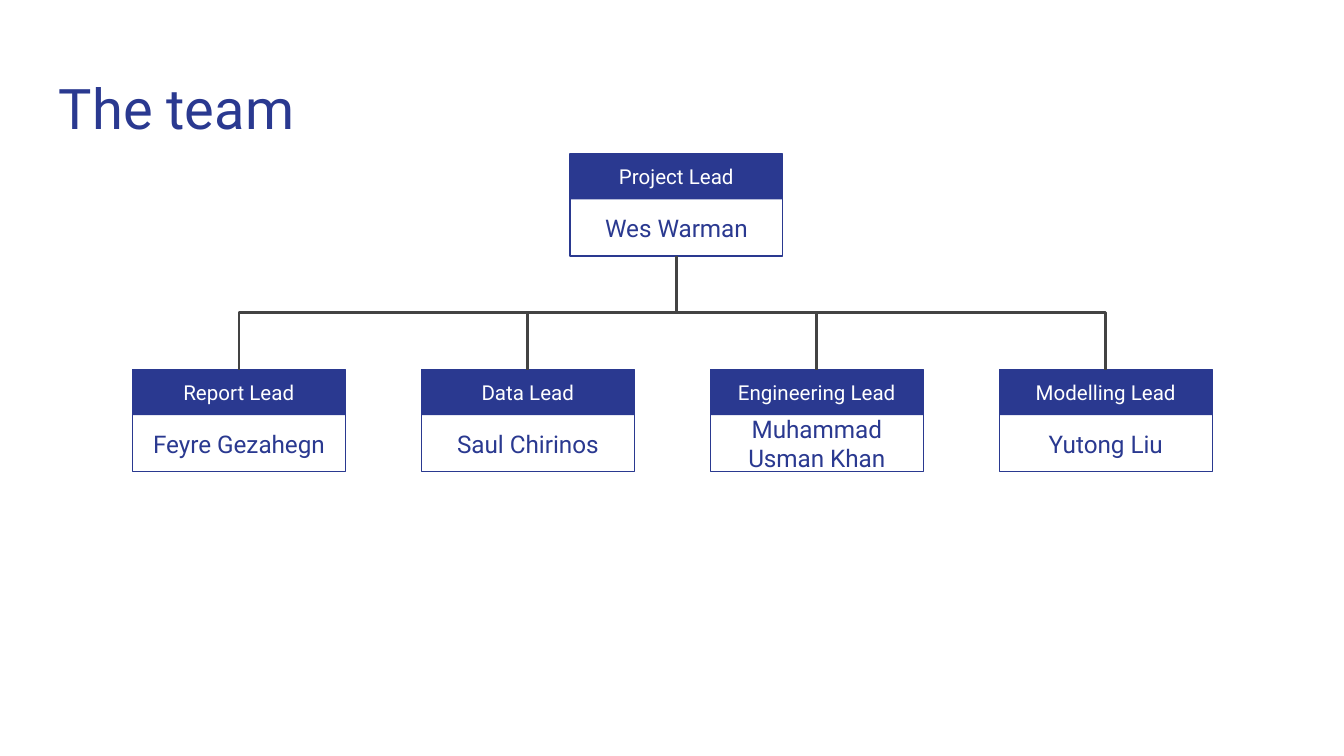
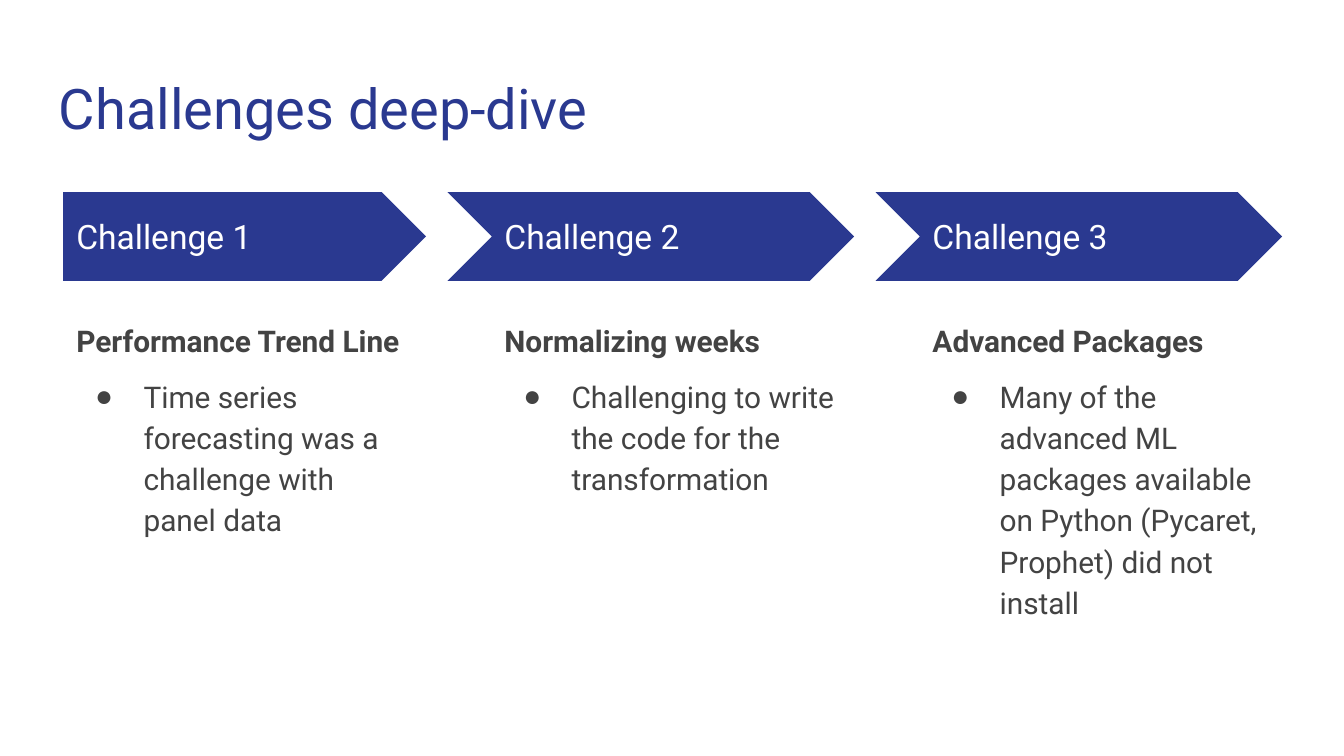
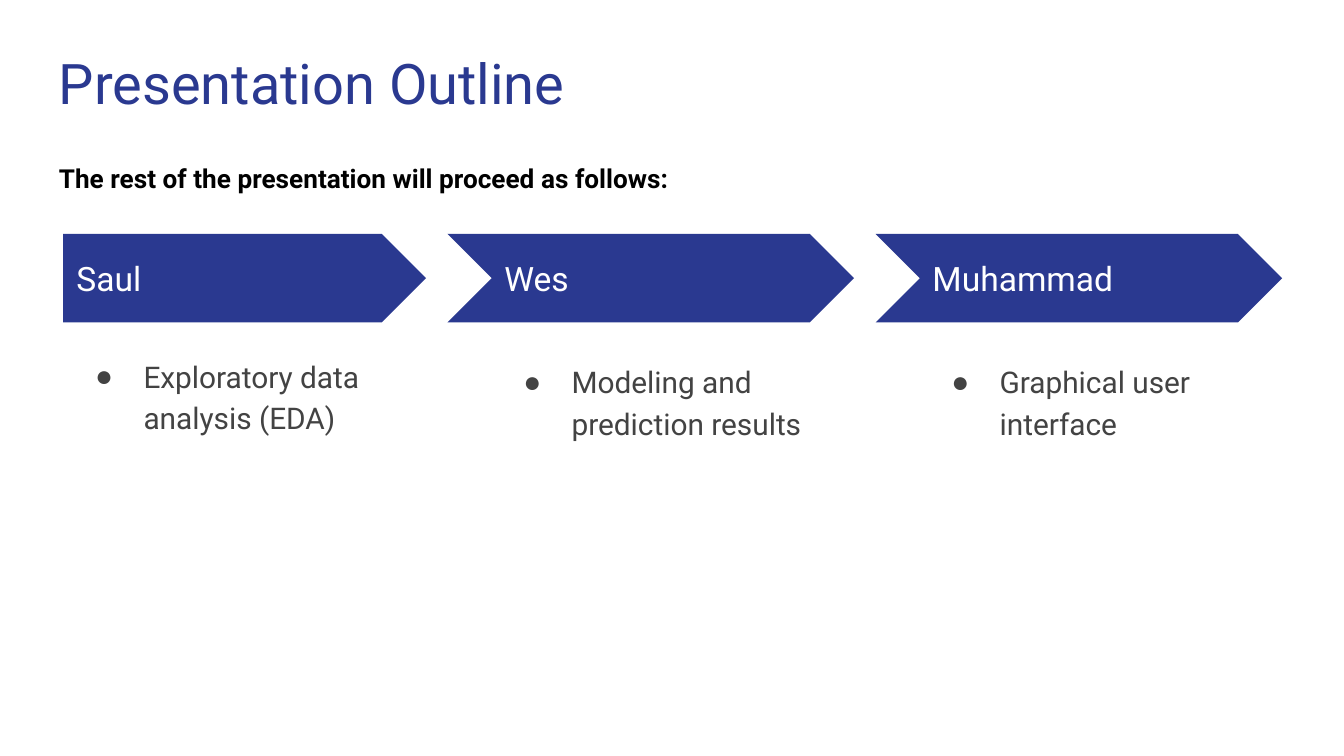
from pptx import Presentation
from pptx.dml.color import RGBColor
from pptx.enum.shapes import MSO_CONNECTOR, MSO_SHAPE
from pptx.enum.text import MSO_ANCHOR, PP_ALIGN
from pptx.oxml.ns import qn
from pptx.util import Inches, Pt
from lxml.etree import SubElement

deck = Presentation()
deck.slide_width = Inches(10)
deck.slide_height = deck.slide_width * 9 // 16
cell = deck.slide_width / 100
hue = {"navy": "2A3990", "grey": "434343", "white": "FFFFFF", "black": "000000"}
pad = {"margin_" + side: Inches(0.1) for side in ("left", "top", "right", "bottom")}
mid = {"vertical_anchor": MSO_ANCHOR.MIDDLE}
center = {"alignment": PP_ALIGN.CENTER}
loose = {"line_spacing": 1.15}
style = {
    "title": ("navy", {"size": Pt(30)}, {}, {}),
    "role": ("white", {"size": Pt(11)}, center, mid),
    "name": ("navy", {"size": Pt(13)}, center, mid),
    "step": ("white", {"size": Pt(18)}, {}, mid),
    "head": ("grey", {"size": Pt(16), "bold": True}, loose, {}),
    "item": ("grey", {"size": Pt(16), "bold": False}, loose, {}),
    "lead": ("black", {"size": Pt(14), "bold": True}, {}, {}),
}


def write(shape, *lines):
    frame = shape.text_frame
    for num, (kind, text) in enumerate(lines):
        tone, face, flow, hold = style[kind]
        para = frame.paragraphs[0] if num == 0 else frame.add_paragraph()
        run = para.add_run()
        run.text = text
        run.font.color.rgb = RGBColor.from_string(hue[tone])
        formats = (
            (frame, {"word_wrap": True, **pad, **hold}),
            (para, flow),
            (run.font, {"name": "Roboto", **face}),
        )
        for part, values in formats:
            for key, value in values.items():
                setattr(part, key, value)
        if kind == "item":
            para.space_before = Pt(8 if num else 0)
            props = para._p.get_or_add_pPr()
            props.set("marL", str(Inches(0.5)))
            props.set("indent", str(-Inches(0.36)))
            tint = SubElement(props, qn("a:buClr"))
            SubElement(tint, qn("a:srgbClr")).set("val", hue[tone])
            SubElement(props, qn("a:buFont")).set("typeface", "Arial")
            SubElement(props, qn("a:buChar")).set("char", "●")


def draw(slide, form, x, y, w, h, fill=None, line=None):
    spot = [round(n * cell) for n in (x, y, w, h)]
    if form is None:
        return slide.shapes.add_textbox(*spot)
    shape = slide.shapes.add_shape(form, *spot)
    shape.shadow.inherit = False
    for part, tone in ((shape.fill, fill), (shape.line.fill, line)):
        if tone:
            part.solid()
            part.fore_color.rgb = RGBColor.from_string(hue[tone])
        else:
            part.background()
    if line:
        shape.line.width = Pt(0.75)
    return shape


pages = []
for title, top in (("The team", 4.5), ("Challenges deep-dive", 4.5), ("Presentation Outline", 2.6)):
    page = deck.slides.add_slide(deck.slide_layouts[6])
    write(draw(page, None, 3.4, top, 93.2, 6.6), ("title", title))
    pages.append(page)
team, deep, plan = pages

wide, tall, band = 15.85, 7.6, 3.4
root = (42.4, 11.45)
leads = [
    ("Report Lead", "Feyre Gezahegn"),
    ("Data Lead", "Saul Chirinos"),
    ("Engineering Lead", "Muhammad Usman Khan"),
    ("Modelling Lead", "Yutong Liu"),
]
cards = [(*root, "Project Lead", "Wes Warman")]
cards += [(9.85 + 21.5 * i, 27.5, *lead) for i, lead in enumerate(leads)]
for x, y, role, name in cards:
    draw(team, MSO_SHAPE.RECTANGLE, x, y, wide, tall, line="navy")
    write(draw(team, MSO_SHAPE.RECTANGLE, x, y, wide, band, fill="navy"), ("role", role))
    write(draw(team, None, x, y + 4.45, wide, 2.1), ("name", name))

for x, y, *rest in cards[1:]:
    run, drop = x - root[0], y - root[1] - tall
    cx, cy = root[0] + (wide + run) / 2, root[1] + tall + drop / 2
    half = drop / 2 if run < 0 else -drop / 2
    ends = (cx - half, cy - abs(run) / 2, cx + half, cy + abs(run) / 2)
    link = team.shapes.add_connector(MSO_CONNECTOR.ELBOW, *[round(n * cell) for n in ends])
    link.line.width = Pt(1.5)
    link.line.color.rgb = RGBColor.from_string(hue["grey"])
    props = link._element.spPr
    props.find(qn("a:xfrm")).set("rot", str((90 if run < 0 else 270) * 60000))
    SubElement(props, qn("a:effectLst"))

flows = [
    (deep, 14.3, [
        ("Challenge 1", 8.3, [("head", "Performance Trend Line"),
                              ("item", "Time series forecasting was a challenge with panel data")]),
        ("Challenge 2", 8.3, [("head", "Normalizing weeks"),
                              ("item", "Challenging to write the code for the transformation")]),
        ("Challenge 3", 8.3, [("head", "Advanced Packages"),
                              ("item", "Many of the advanced ML packages available on Python "
                                       "(Pycaret, Prophet) did not install")]),
    ]),
    (plan, 17.4, [
        ("Saul", 7.9, [("item", "Exploratory data analysis (EDA)")]),
        ("Wes", 8.3, [("item", "Modeling and prediction results")]),
        ("Muhammad", 8.3, [("item", "Graphical user interface")]),
    ]),
]
for page, top, steps in flows:
    for i, (label, drop, lines) in enumerate(steps):
        x = 4.7 + 31.85 * i
        notch = 3.25 if i else 0
        form = MSO_SHAPE.CHEVRON if i else MSO_SHAPE.PENTAGON
        draw(page, form, x - notch, top, 27 + notch, 6.6, fill="navy")
        write(draw(page, None, x, top + 1.6, 24.7, 3.4), ("step", label))
        write(draw(page, None, x, top + drop, 27, 29), *lines)

write(draw(plan, None, 3.4, 11.1, 70.6, 4.4),
      ("lead", "The rest of the presentation will proceed as follows:"))

deck.save("out.pptx")
